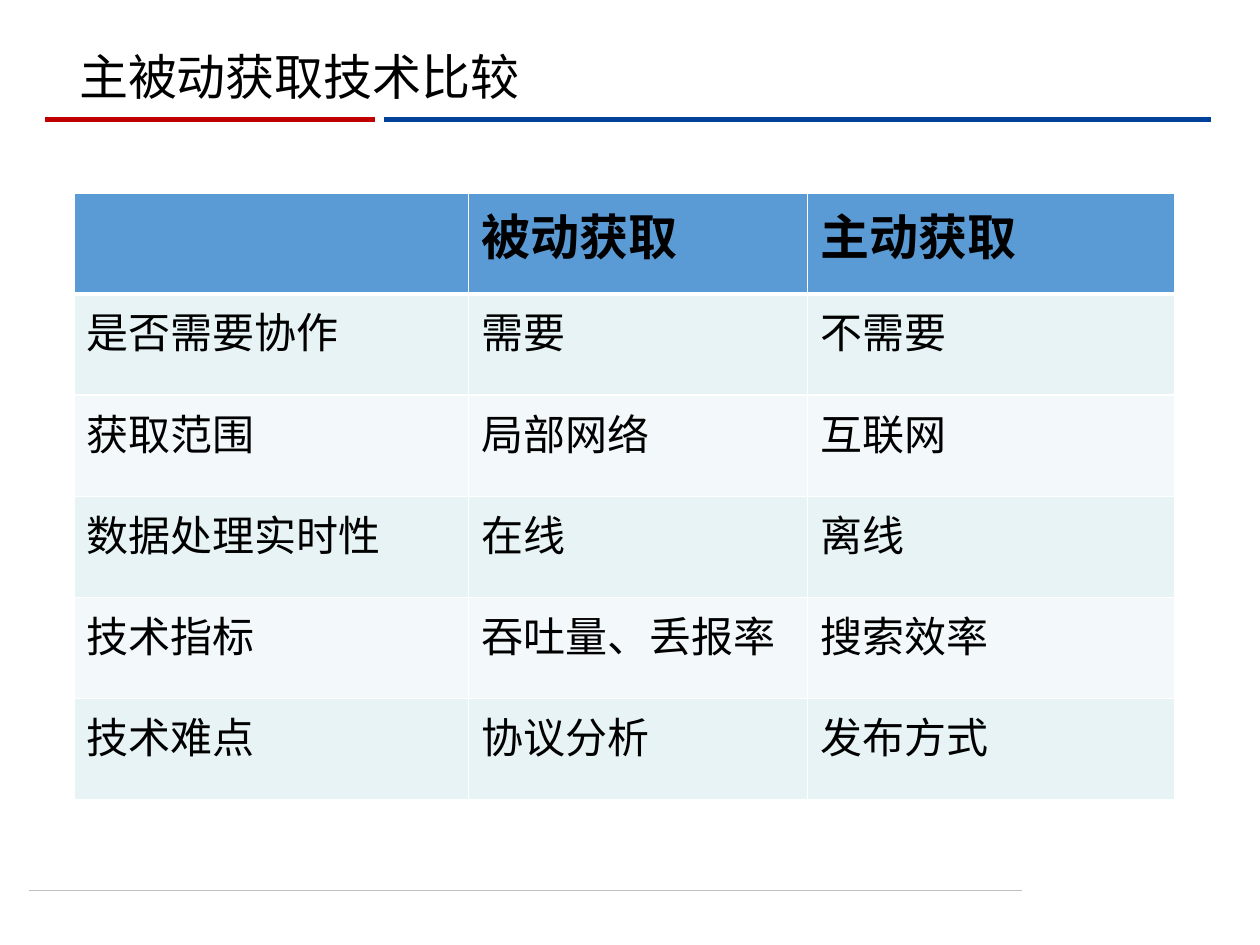
from lxml import etree
from pptx import Presentation
from pptx import util as u
from pptx.dml.color import RGBColor
from pptx.enum import shapes
from pptx.oxml import ns

ROWS = [
    ["", "被动获取", "主动获取"],
    ["是否需要协作", "需要", "不需要"],
    ["获取范围", "局部网络", "互联网"],
    ["数据处理实时性", "在线", "离线"],
    ["技术指标", "吞吐量、丢报率", "搜索效率"],
    ["技术难点", "协议分析", "发布方式"],
]
HEADER_FILL = "5B9BD5"
BAND_FILLS = ["F3F9FA", "E7F3F4"]


def color(value):
    return RGBColor.from_string(value)


def add_border(cell, side, width):
    """Draw one white cell edge; side is L, R, T or B."""
    properties = cell._tc.get_or_add_tcPr()
    line = etree.SubElement(properties, ns.qn(f"a:ln{side}"), w=str(u.Pt(width)))
    fill = etree.SubElement(line, ns.qn("a:solidFill"))
    etree.SubElement(fill, ns.qn("a:srgbClr"), val="FFFFFF")


class SlideBuilder:
    font_name = "Arial"
    text_color = "000000"

    def __init__(self, slide):
        self.slide = slide

    def set_font(self, paragraph, size, bold=False):
        font = paragraph.font
        font.name = self.font_name
        font.size = u.Pt(size)
        font.bold = bold
        font.color.rgb = color(self.text_color)

    def line(self, left, right, y, line_color, width):
        connector = self.slide.shapes.add_connector(
            shapes.MSO_CONNECTOR.STRAIGHT,
            u.Inches(left), u.Inches(y), u.Inches(right), u.Inches(y))
        connector.line.color.rgb = color(line_color)
        connector.line.width = u.Pt(width)
        etree.SubElement(connector._element.spPr, ns.qn("a:effectLst"))

    def title(self, content, left, top, width, height):
        box = self.slide.shapes.add_textbox(
            u.Inches(left), u.Inches(top), u.Inches(width), u.Inches(height))
        box.text_frame.word_wrap = True
        box.text_frame.text = content
        self.set_font(box.text_frame.paragraphs[0], 28)

    def table(self, rows, left, top, column_widths, height):
        table = self.slide.shapes.add_table(
            len(rows), len(column_widths), u.Inches(left), u.Inches(top),
            u.Inches(sum(column_widths)), u.Inches(height)).table
        for column, width in zip(table.columns, column_widths):
            column.width = u.Inches(width)
        for row_index, row in enumerate(rows):
            for column_index, content in enumerate(row):
                self.cell(table.cell(row_index, column_index), content, row_index)

    def cell(self, cell, content, row_index):
        is_header = row_index == 0
        widths = {"L": 1, "R": 1, "T": 3 if row_index == 1 else 1, "B": 3 if is_header else 1}
        for side, width in widths.items():
            add_border(cell, side, width)
        cell.fill.solid()
        cell.fill.fore_color.rgb = color(HEADER_FILL if is_header else BAND_FILLS[row_index % 2])
        cell.text = content
        self.set_font(cell.text_frame.paragraphs[0], 28 if is_header else 24, is_header)


def main():
    presentation = Presentation()
    presentation.slide_width = u.Inches(10)
    presentation.slide_height = u.Inches(7.5)
    builder = SlideBuilder(presentation.slides.add_slide(presentation.slide_layouts[6]))

    builder.line(0.23, 8.11, 7.07, "BFBFBF", 0.5)
    builder.line(3.05, 9.61, 0.95, "004299", 3)
    builder.line(0.36, 2.98, 0.95, "C00000", 3)
    builder.title("主被动获取技术比较", 0.53, 0.32, 7.09, 0.57)
    builder.table(ROWS, 0.59, 1.53, [3.13, 2.69, 2.91], 4.82)

    presentation.save("out.pptx")


if __name__ == "__main__":
    main()
